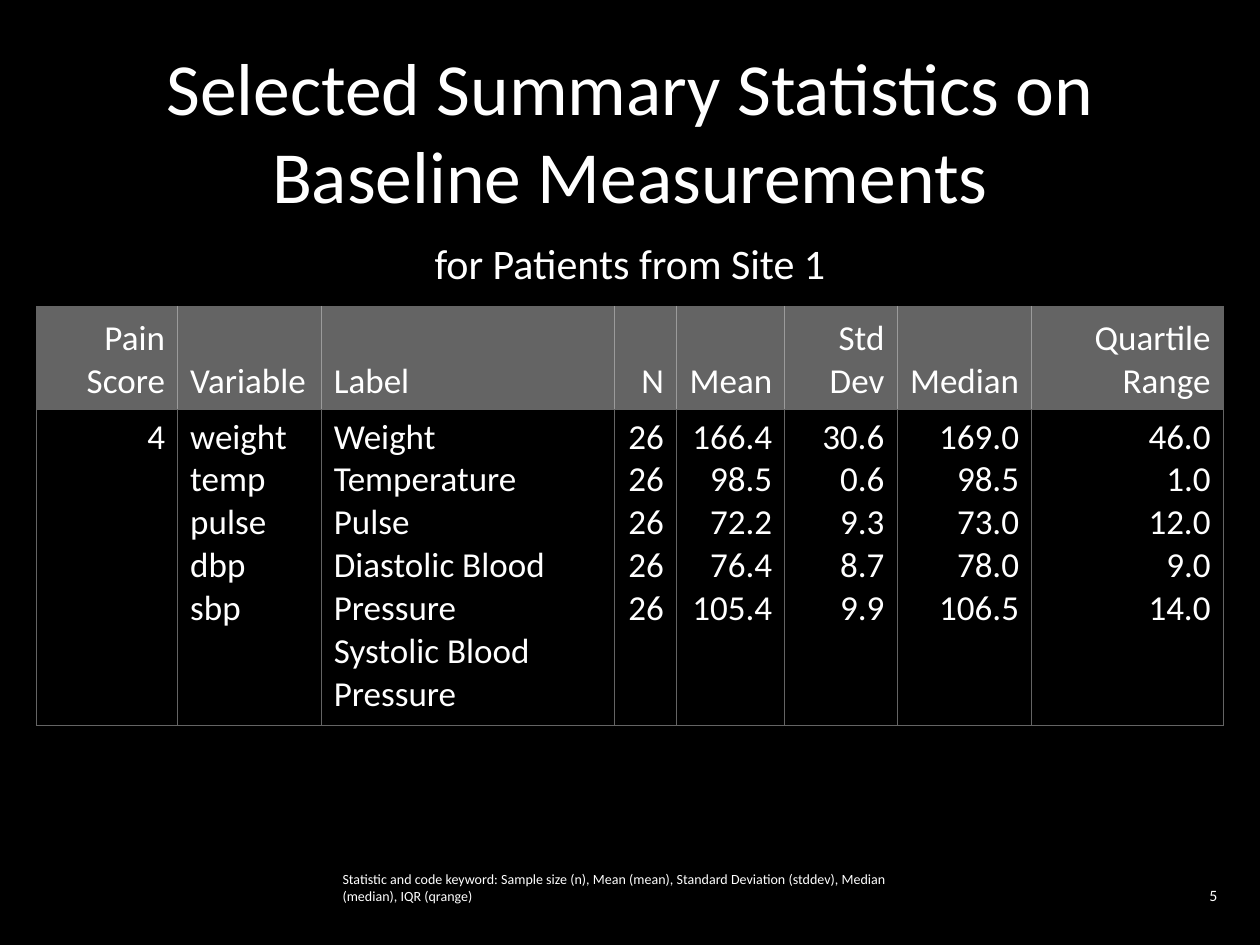
import pptx
import pptx.util
import pptx.dml.color
import pptx.enum.text
import pptx.oxml
import pptx.oxml.ns
from lxml import etree

COLOURS = {"ground": "000000", "text": "FFFFFF", "header": "646464", "divider": "9B9B9B"}
FONT = "Calibri"
GRID = 0.25
LEFT = pptx.enum.text.PP_ALIGN.LEFT
CENTRE = pptx.enum.text.PP_ALIGN.CENTER
RIGHT = pptx.enum.text.PP_ALIGN.RIGHT
TOP = pptx.enum.text.MSO_ANCHOR.TOP
MIDDLE = pptx.enum.text.MSO_ANCHOR.MIDDLE
BOTTOM = pptx.enum.text.MSO_ANCHOR.BOTTOM

COLUMNS = [
    (4.48, RIGHT, "Pain Score", ["4"]),
    (4.56, LEFT, "Variable", ["weight", "temp", "pulse", "dbp", "sbp"]),
    (9.32, LEFT, "Label", ["Weight", "Temperature", "Pulse",
                           "Diastolic Blood Pressure", "Systolic Blood Pressure"]),
    (1.96, RIGHT, "N", ["26"] * 5),
    (3.44, RIGHT, "Mean", ["166.4", "98.5", "72.2", "76.4", "105.4"]),
    (3.56, RIGHT, "Std Dev", ["30.6", "0.6", "9.3", "8.7", "9.9"]),
    (4.28, RIGHT, "Median", ["169.0", "98.5", "73.0", "78.0", "106.5"]),
    (6.08, RIGHT, "Quartile Range", ["46.0", "1.0", "12.0", "9.0", "14.0"]),
]
ROW_HEIGHTS = (3.28, 10.04)


def cells(count):
    return pptx.util.Inches(count * GRID)


def colour(name):
    return pptx.dml.color.RGBColor.from_string(COLOURS[name])


def write(frame, text, size, align):
    frame.text = text
    para = frame.paragraphs[0]
    para.alignment = align
    para.font.name = FONT
    para.font.size = pptx.util.Pt(size)
    para.font.bold = False
    para.font.color.rgb = colour("text")


def add_text(page, place, text, size, align):
    box = page.shapes.add_textbox(*map(cells, place))
    box.text_frame.word_wrap = True
    box.text_frame.vertical_anchor = MIDDLE
    write(box.text_frame, text, size, align)


def set_borders(cell, names):
    properties = cell._tc.get_or_add_tcPr()
    for position, (side, name) in enumerate(zip(("lnL", "lnR", "lnT", "lnB"), names)):
        line = etree.Element(pptx.oxml.ns.qn("a:" + side), w=str(pptx.util.Pt(0.5)))
        fill = etree.SubElement(line, pptx.oxml.ns.qn("a:solidFill"))
        etree.SubElement(fill, pptx.oxml.ns.qn("a:srgbClr"), val=COLOURS[name])
        properties.insert(position, line)


def fill_cell(cell, text, align, anchor, ground, borders):
    write(cell.text_frame, text, 20, align)
    cell.vertical_anchor = anchor
    cell.fill.solid()
    cell.fill.fore_color.rgb = colour(ground)
    set_borders(cell, borders)


def add_statistics(page, left, top):
    width = sum(column[0] for column in COLUMNS)
    place = map(cells, (left, top, width, sum(ROW_HEIGHTS)))
    table = page.shapes.add_table(len(ROW_HEIGHTS), len(COLUMNS), *place).table
    table.horz_banding = False
    for row, height in zip(table.rows, ROW_HEIGHTS):
        row.height = cells(height)
    last = len(COLUMNS) - 1
    for index, (width, align, heading, values) in enumerate(COLUMNS):
        table.columns[index].width = cells(width)
        borders = ("header" if index == 0 else "divider",
                   "header" if index == last else "divider", "header", "divider")
        fill_cell(table.cell(0, index), heading, align, BOTTOM, "header", borders)
        fill_cell(table.cell(1, index), "\v".join(values), align, TOP, "ground",
                  ("header",) * 4)


def main():
    deck = pptx.Presentation()
    deck.slide_width = cells(40)
    deck.slide_height = cells(30)
    page = deck.slides.add_slide(deck.slide_layouts[6])
    page.background.fill.solid()
    page.background.fill.fore_color.rgb = colour("ground")
    add_text(page, (1, 1, 38, 6.24),
             "Selected Summary Statistics on Baseline Measurements", 42, CENTRE)
    add_text(page, (1, 7.24, 38, 2.2), "for Patients from Site 1", 24, CENTRE)
    add_statistics(page, 1.16, 9.72)
    add_text(page, (10.48, 27.36, 19, 1.64),
             "Statistic and code keyword: Sample size (n), Mean (mean), "
             "Standard Deviation (stddev), Median (median), IQR (qrange)", 8, LEFT)
    add_text(page, (29.52, 27.84, 9.52, 1.16), "5", 9, RIGHT)
    deck.save("out.pptx")


main()
